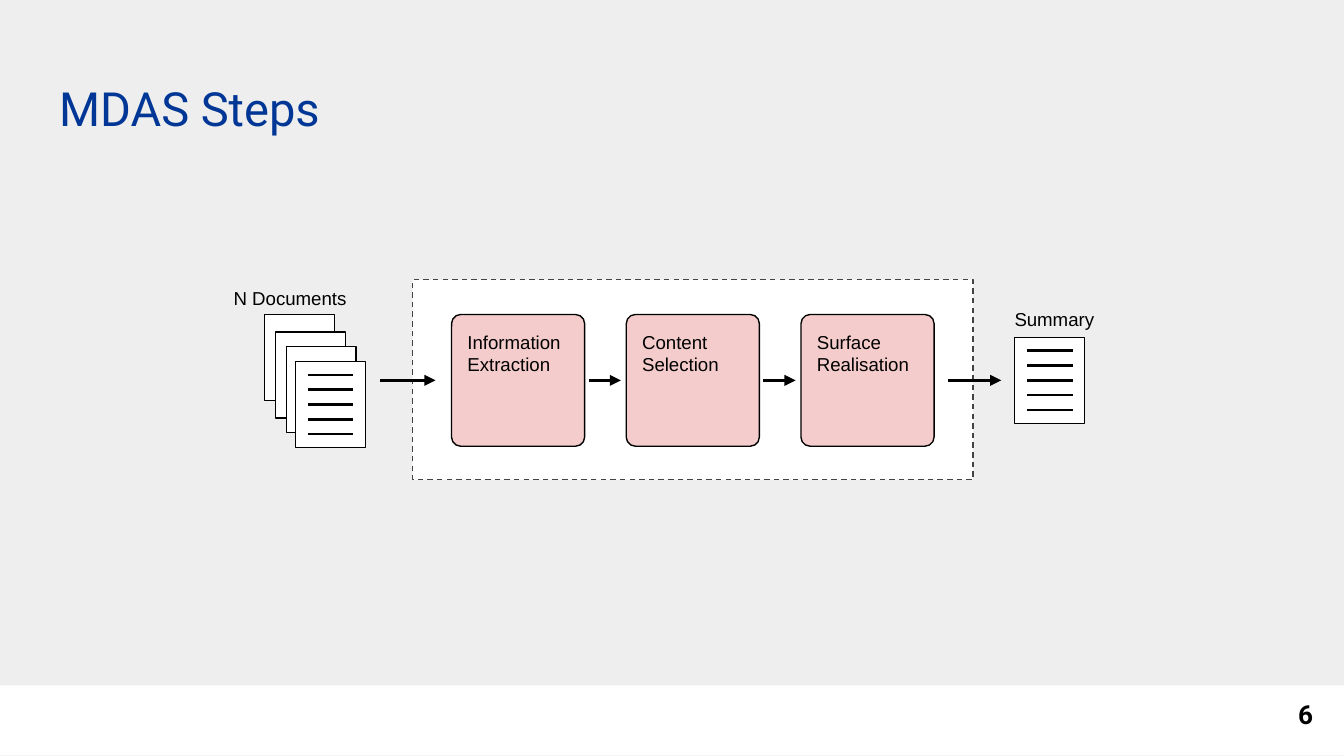
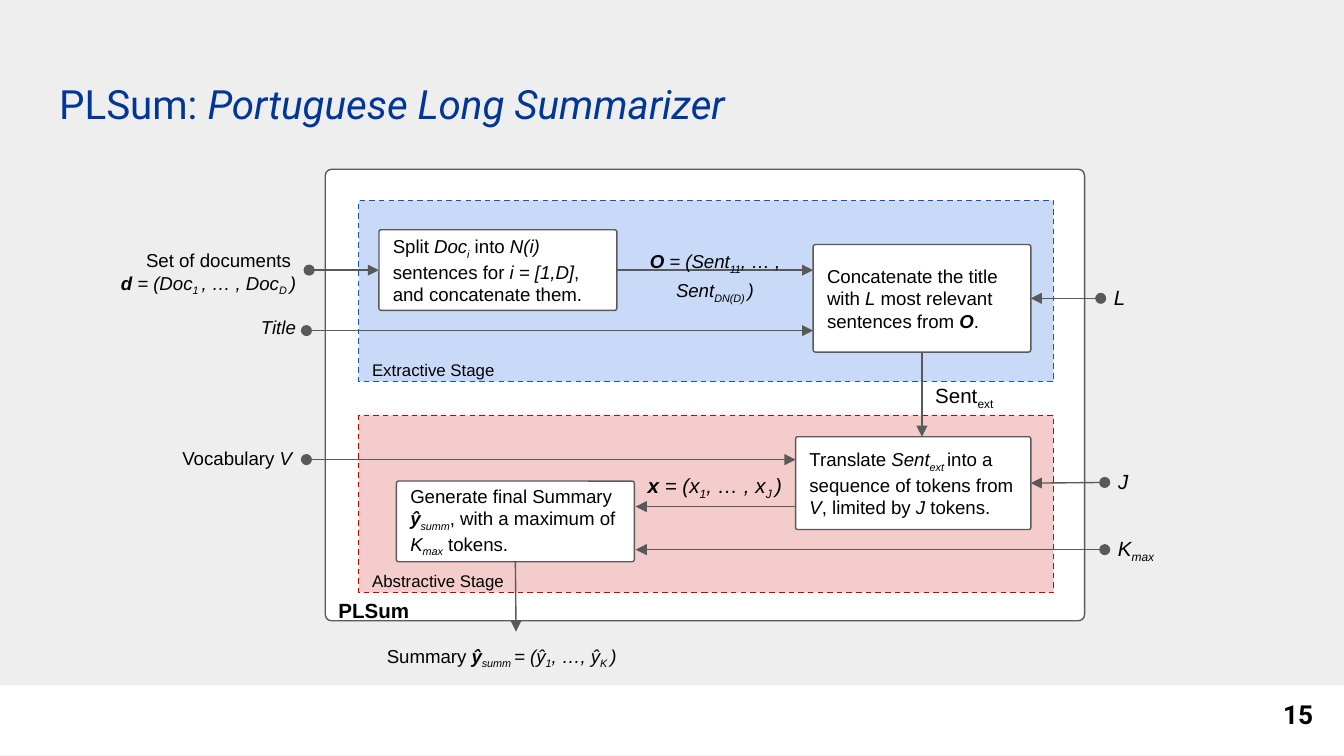
import pptx
import pptx.dml.color
import pptx.enum.dml
import pptx.enum.shapes
import pptx.enum.text
import pptx.oxml.ns
import pptx.util
from lxml import etree

Inches = pptx.util.Inches
Pt = pptx.util.Pt
RGBColor = pptx.dml.color.RGBColor
Shape = pptx.enum.shapes.MSO_SHAPE
Anchor = pptx.enum.text.MSO_ANCHOR
Align = pptx.enum.text.PP_ALIGN
Fit = pptx.enum.text.MSO_AUTO_SIZE
Dash = pptx.enum.dml.MSO_LINE
qn = pptx.oxml.ns.qn

BLACK = RGBColor(0x00, 0x00, 0x00)
WHITE = RGBColor(0xFF, 0xFF, 0xFF)
PAPER = RGBColor(0xEE, 0xEE, 0xEE)
NAVY = RGBColor(0x00, 0x36, 0x95)
PINK = RGBColor(0xF4, 0xCC, 0xCC)
RED = RGBColor(0xCC, 0x00, 0x00)
SKY = RGBColor(0xC9, 0xDA, 0xF8)
BLUE = RGBColor(0x11, 0x55, 0xCC)
GREY = RGBColor(0x59, 0x59, 0x59)
DARK = RGBColor(0x43, 0x43, 0x43)

WIDTH = 10
HEIGHT = WIDTH * 9 / 16
TITLE_BOX = (0.34, 0.49, 9.32, 0.63)
BAND = (0, 5.1, WIDTH, 0.52)
PAGE_BOX = (9.27, 5.1, 0.6, 0.43)

# Text is a list of paragraphs, each a list of (words, style) runs.
# Style letters: b bold, i italic, s subscript.

# MDAS Steps
STEPS = ["Information Extraction", "Content Selection", "Surface Realisation"]
STEP_X, STEP_Y, STEP_W, STEP_H, STEP_GAP = 3.36, 2.34, 0.99, 0.98, 1.3
FRAME = (3.07, 2.08, 4.17, 1.49)
FLOW_Y = 2.83
FLOWS = [(2.83, 3.24), (4.38, 4.62), (5.68, 5.92), (7.05, 7.45)]
SHEET_W, SHEET_H = 0.52, 0.64
STACK = [(1.97, 2.34), (2.05, 2.47), (2.13, 2.58), (2.2, 2.69)]
RESULT = [(7.55, 2.51)]
CAPTIONS = [("N Documents", (1.64, 2.05, 1.21, 0.37)),
            ("Summary", (7.45, 2.21, 0.91, 0.37))]

# PLSum: name, place, corner, text
SYSTEM = (2.42, 1.26, 5.65, 3.36)
STAGES = [((2.67, 1.49, 5.17, 1.35), SKY, BLUE),
          ((2.67, 3.09, 5.17, 1.32), PINK, RED)]
BOXES = [
    ("split", (2.82, 1.71, 1.77, 0.6), 0.028,
     [[("Split ", ""), ("Doc", "i"), ("i", "is"), (" into ", ""),
       ("N(i)", "i"), (" sentences for ", ""), ("i = [1,D]", "i"),
       (", and concatenate them.", "")]]),
    ("concat", (6.05, 1.82, 1.62, 0.8), 0.022,
     [[("Concatenate the title with ", ""), ("L", "i"),
       (" most relevant sentences from ", ""), ("O", "bi"), (".", "")]]),
    ("translate", (5.92, 3.25, 1.75, 0.69), 0.022,
     [[("Translate ", ""), ("Sent", "i"), ("ext ", "is"),
       ("into a sequence of tokens from ", ""), ("V", "i"),
       (", limited by ", ""), ("J", "i"), (" tokens.", "")]]),
    ("generate", (2.95, 3.58, 1.77, 0.6), 0.028,
     [[("Generate final Summary ", ""), ("ŷ", "bi"), ("summ", "is"),
       (", with a maximum of ", ""), ("K", "i"), ("max", "is"),
       (" tokens.", "")]]),
]
# start, end, head, tail, joint at start, joint at end
LINKS = [
    ((4.59, 2.01), (6.05, 2.01), None, "triangle", ("split", 3), None),
    ((2.28, 2.46), (6.05, 2.46), "oval", "triangle", None, None),
    ((2.3, 2.01), (2.82, 2.01), "oval", "triangle", None, ("split", 1)),
    ((2.28, 3.42), (5.92, 3.42), "oval", "triangle", None, None),
    ((6.86, 2.62), (6.86, 3.25), None, "triangle", ("concat", 2), None),
    ((4.73, 3.77), (5.92, 3.77), "triangle", None, None, None),
    ((8.19, 2.22), (7.67, 2.22), "oval", "triangle", None, ("concat", 3)),
    ((8.22, 3.59), (7.67, 3.59), "oval", "triangle", None, ("translate", 3)),
    ((3.84, 4.18), (3.84, 4.7), None, "triangle", ("generate", 2), None),
    ((8.22, 4.09), (4.73, 4.09), "oval", "triangle", None, None),
]
# place, size, alignment, line spacing of the first paragraph, text
LABELS = [
    ((0.75, 1.73, 1.55, 0.56), 10, Align.RIGHT, 1.15,
     [[("Set of documents ", "")],
      [("d ", "bi"), ("= (Doc", "i"), ("1 ", "is"), (", … , Doc", "i"),
       ("D ", "is"), (")", "i")]]),
    ((2.67, 2.6, 1.37, 0.35), 9, Align.LEFT, 1, [[("Extractive Stage", "")]]),
    ((2.67, 4.17, 1.62, 0.35), 9, Align.LEFT, 1,
     [[("Abstractive Stage", "")]]),
    ((1.4, 2.27, 0.9, 0.37), 10, Align.RIGHT, 1, [[("Title", "i")]]),
    ((1.18, 3.24, 1.09, 0.37), 10, Align.RIGHT, 1,
     [[("Vocabulary ", ""), ("V", "i")]]),
    ((4.47, 1.73, 1.7, 0.56), 10, Align.CENTER, 1.15,
     [[("O", "bi"), (" = (Sent", "i"), ("11", "is"), (", … , Sent", "i"),
       ("DN(D) ", "is"), (")", "i")]]),
    ((6.86, 2.75, 0.84, 0.39), 11, Align.LEFT, 1,
     [[("Sent", ""), ("ext", "s")]]),
    ((4.72, 3.42, 1.2, 0.39), 11, Align.LEFT, 1,
     [[("x ", "bi"), ("= (x", "i"), ("1", "is"), (", … , x", "i"),
       ("J ", "is"), (")", "i")]]),
    ((8.22, 3.4, 0.29, 0.39), 11, Align.LEFT, 1, [[("J", "i")]]),
    ((8.19, 2.03, 0.57, 0.39), 11, Align.LEFT, 1, [[("L", "i")]]),
    ((2.78, 4.7, 2.11, 0.37), 10, Align.LEFT, 1,
     [[("Summary ", ""), ("ŷ", "bi"), ("summ ", "is"), ("= (ŷ", "i"),
       ("1", "is"), (", …, ŷ", "i"), ("K ", "is"), (")", "i")]]),
    ((8.22, 3.89, 0.57, 0.39), 11, Align.LEFT, 1,
     [[("K", "i"), ("max", "is")]]),
]


def place(box):
    return [Inches(n) for n in box]


def write(shape, paras, size=10, font="Arial", color=BLACK,
          align=Align.LEFT, anchor=Anchor.TOP, space=1, fit=Fit.NONE):
    frame = shape.text_frame
    frame.word_wrap = True
    frame.auto_size = fit
    frame.vertical_anchor = anchor
    frame.margin_left = frame.margin_right = Inches(0.1)
    frame.margin_top = frame.margin_bottom = Inches(0.1)
    for i, runs in enumerate(paras):
        para = frame.add_paragraph() if i else frame.paragraphs[0]
        para.alignment = align
        para.line_spacing = 1 if i else space
        for words, style in runs:
            run = para.add_run()
            run.text = words
            run.font.name = font
            run.font.size = Pt(size)
            run.font.color.rgb = color
            run.font.bold = "b" in style
            run.font.italic = "i" in style
            if "s" in style:
                run.font._element.set("baseline", "-25000")


def label(slide, box, paras, **look):
    write(slide.shapes.add_textbox(*place(box)), paras, **look)


def block(shapes, box, fill=WHITE, edge=BLACK, corner=None, dash=False):
    kind = Shape.ROUNDED_RECTANGLE if corner else Shape.RECTANGLE
    shape = shapes.add_shape(kind, *place(box))
    shape.shadow.inherit = False
    shape.fill.solid()
    shape.fill.fore_color.rgb = fill
    if corner:
        shape.adjustments[0] = corner
    if edge is None:
        shape.line.fill.background()
    else:
        shape.line.color.rgb = edge
        shape.line.width = Pt(0.75)
    if dash:
        shape.line.dash_style = Dash.DASH
    return shape


def link(shapes, start, end, color=BLACK, width=1.5, head=None, tail=None):
    line = shapes.add_connector(pptx.enum.shapes.MSO_CONNECTOR.STRAIGHT,
                                *place(start + end))
    line.line.color.rgb = color
    line.line.width = Pt(width)
    props = line.element.spPr
    for tag, kind in (("a:headEnd", head), ("a:tailEnd", tail)):
        if kind:
            etree.SubElement(props.find(qn("a:ln")), qn(tag), type=kind)
    etree.SubElement(props, qn("a:effectLst"))
    return line


def sheets(slide, spots):
    """Draw a pile of pages, with lines of writing on the front one."""
    group = slide.shapes.add_group_shape().shapes
    for x, y in spots:
        block(group, (x, y, SHEET_W, SHEET_H))
    for i in range(5):
        row = y + 0.1 + i * 0.11
        link(group, (x + 0.09, row), (x + 0.43, row))


def start(deck, title, size, page):
    slide = deck.slides.add_slide(deck.slide_layouts[5])
    head = slide.shapes.title
    head.left, head.top, head.width, head.height = place(TITLE_BOX)
    write(head, [title], size, "Roboto", NAVY)
    label(slide, PAGE_BOX, [[(page, "b")]], size=14, font="Roboto",
          align=Align.RIGHT, anchor=Anchor.MIDDLE)
    return slide


def dress(slide):
    """Give the shared layout its background and bottom band."""
    layout = slide.slide_layout
    layout.background.fill.solid()
    layout.background.fill.fore_color.rgb = PAPER
    band = block(slide.shapes, BAND, edge=None)
    layout.shapes.element.insert(2, band.element)


def steps(deck):
    slide = start(deck, [("MDAS Steps", "")], 25.2, "6")
    dress(slide)
    sheets(slide, STACK)
    block(slide.shapes, FRAME, edge=DARK, dash=True)
    for i, name in enumerate(STEPS):
        box = (STEP_X + i * STEP_GAP, STEP_Y, STEP_W, STEP_H)
        write(block(slide.shapes, box, PINK, corner=0.069), [[(name, "")]])
    sheets(slide, RESULT)
    for left, right in FLOWS:
        link(slide.shapes, (left, FLOW_Y), (right, FLOW_Y), tail="triangle")
    for words, box in CAPTIONS:
        label(slide, box, [[(words, "")]], fit=Fit.SHAPE_TO_FIT_TEXT)


def system(deck):
    title = [("PLSum: ", ""), ("Portuguese Long Summarizer", "i")]
    slide = start(deck, title, 21.6, "15")
    block(slide.shapes, SYSTEM, edge=GREY, corner=0.014)
    for box, fill, edge in STAGES:
        block(slide.shapes, box, fill, edge, dash=True)
    boxes = {}
    for name, box, corner, paras in BOXES:
        boxes[name] = block(slide.shapes, box, edge=GREY, corner=corner)
        write(boxes[name], paras, anchor=Anchor.MIDDLE)
    for begin, end, head, tail, first, last in LINKS:
        line = link(slide.shapes, begin, end, GREY, 0.75, head, tail)
        if first:
            line.begin_connect(boxes[first[0]], first[1])
        if last:
            line.end_connect(boxes[last[0]], last[1])
    label(slide, (2.42, 4.44, 1.37, 0.29), [[("PLSum", "b")]], size=11,
          anchor=Anchor.BOTTOM)
    for box, size, align, space, paras in LABELS:
        label(slide, box, paras, size=size, align=align, space=space,
              fit=Fit.SHAPE_TO_FIT_TEXT)


def main():
    deck = pptx.Presentation()
    deck.slide_width, deck.slide_height = Inches(WIDTH), Inches(HEIGHT)
    steps(deck)
    system(deck)
    deck.save("out.pptx")


if __name__ == "__main__":
    main()
